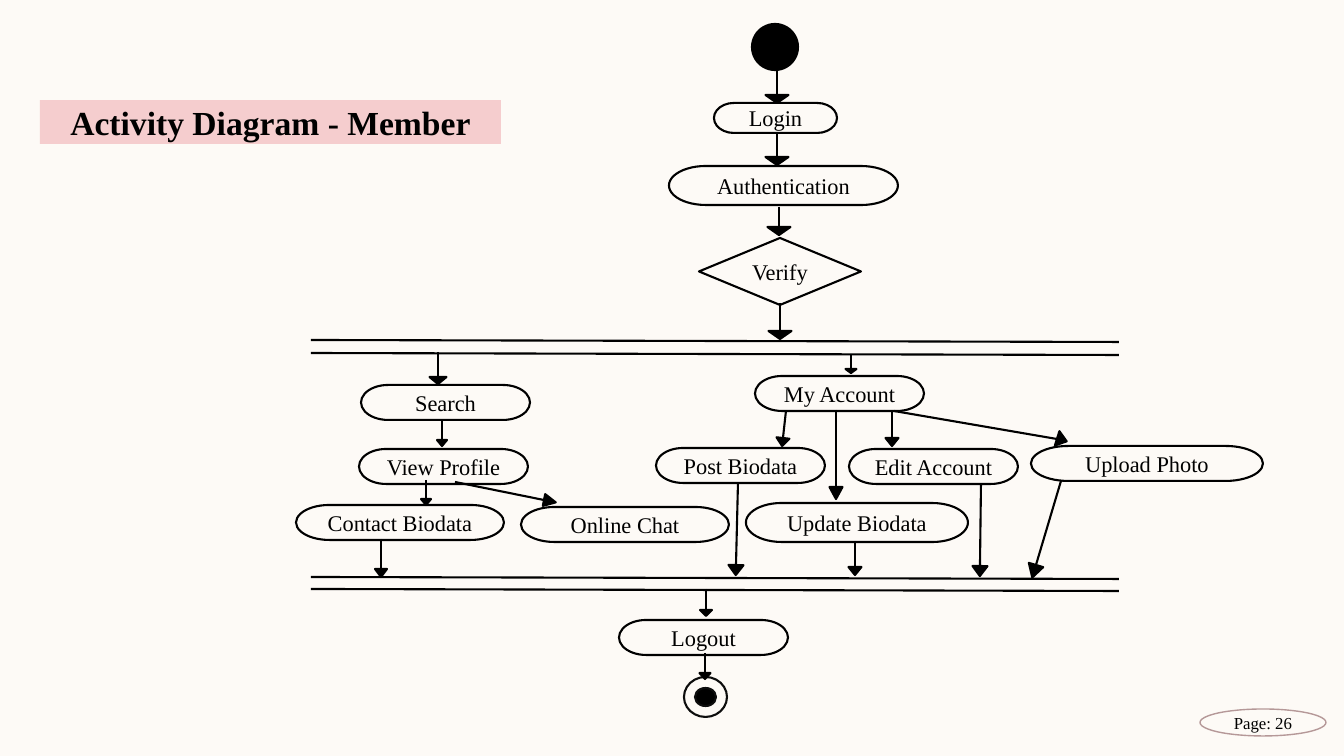
from math import atan2, cos, degrees, sin

from lxml.etree import SubElement
from pptx import Presentation
from pptx.dml.color import RGBColor
from pptx.enum.shapes import MSO_CONNECTOR, MSO_SHAPE
from pptx.enum.text import MSO_ANCHOR, PP_ALIGN
from pptx.oxml.ns import qn
from pptx.util import Emu, Pt

CREAM = RGBColor(0xFD, 0xFA, 0xF6)
BLACK = RGBColor(0x00, 0x00, 0x00)
INK = RGBColor(0x0D, 0x0D, 0x0D)
PINK = RGBColor(0xF5, 0xCD, 0xCE)
MAUVE = RGBColor(0xB5, 0x98, 0x98)
FONT = "Times New Roman"
EMU_PER_PX = 914400 / 100.8


def px(n):
    return Emu(round(n * EMU_PER_PX))


def write(sp, text, size=16, bold=False, color=BLACK):
    tf = sp.text_frame
    tf.word_wrap = True
    tf.vertical_anchor = MSO_ANCHOR.MIDDLE
    tf.margin_left = tf.margin_right = tf.margin_top = tf.margin_bottom = 0
    p = tf.paragraphs[0]
    p.alignment = PP_ALIGN.CENTER
    r = p.add_run()
    r.text = text
    r.font.name = FONT
    r.font.size = Pt(size)
    r.font.bold = bold
    r.font.color.rgb = color


class Diagram:
    """Draws on one slide with a shared line weight."""

    def __init__(self, slide, weight=1.5):
        self.slide = slide
        self.weight = weight

    def shape(self, kind, x, y, w, h, fill=None, line=BLACK, weight=None):
        sp = self.slide.shapes.add_shape(kind, px(x), px(y), px(w), px(h))
        sp.shadow.inherit = False
        if fill is None:
            sp.fill.background()
        else:
            sp.fill.solid()
            sp.fill.fore_color.rgb = fill
        if line is None:
            sp.line.fill.background()
        else:
            sp.line.color.rgb = line
            sp.line.width = Pt(weight or self.weight)
        return sp

    def node(self, text, x, y, w, h, kind=MSO_SHAPE.FLOWCHART_TERMINATOR):
        write(self.shape(kind, x, y, w, h), text)

    def line(self, x1, y1, x2, y2):
        c = self.slide.shapes.add_connector(
            MSO_CONNECTOR.STRAIGHT, px(x1), px(y1), px(x2), px(y2))
        c.line.color.rgb = BLACK
        c.line.width = Pt(self.weight)
        SubElement(c._element.spPr, qn("a:effectLst"))

    def arrow(self, x1, y1, x2, y2, w, h, turn=0):
        """Line plus a triangle w by h whose base sits on the line's end."""
        self.line(x1, y1, x2, y2)
        angle = atan2(y2 - y1, x2 - x1)
        cx, cy = x2 + cos(angle) * h / 2, y2 + sin(angle) * h / 2
        head = self.shape(MSO_SHAPE.FLOWCHART_EXTRACT,
                          cx - w / 2, cy - h / 2, w, h, fill=BLACK)
        head.rotation = round(degrees(angle) + 90 + turn, 1)


ACTIVITIES = [
    ("Login", 714, 103, 123, 30),
    ("Authentication", 669, 166, 229, 39),
    ("Search", 361, 385, 169, 35),
    ("View Profile", 359, 449, 169, 35),
    ("Contact Biodata", 296, 505, 208, 35),
    ("Online Chat", 521, 507, 208, 35),
    ("My Account", 755, 376, 169, 35),
    ("Post Biodata", 656, 448, 169, 35),
    ("Update Biodata", 746, 503, 222, 39),
    ("Edit Account", 849, 449, 169, 35),
    ("Upload Photo", 1031, 446, 232, 35),
    ("Logout", 619, 620, 169, 35),
]

# Line start, line end, head width and height
ARROWS = [
    # Sign-in
    (777, 67, 777, 95, 23, 8),
    (777, 132, 777, 157, 23, 8),
    (779, 207, 779, 227, 23, 8),
    (780, 303, 780, 331, 23, 8),
    # Search branch
    (438, 352, 438, 377, 17, 7),
    (442, 421, 442, 440, 10, 6),
    (426, 480, 426, 499, 10, 6),
    (455, 482, 544, 500, 12, 12),
    (381, 539, 381, 569, 12, 8),
    # Account branch
    (851, 355, 851, 369, 11, 4),
    (786, 411, 783, 438, 13, 8),
    (836, 410, 836, 487, 13, 12),
    (892, 412, 892, 438, 13, 8),
    (894, 411, 1057, 439, 15, 10, 8),
    (738, 483, 736, 565, 15, 10),
    (855, 541, 855, 567, 13, 8),
    (981, 485, 980, 566, 15, 10),
    (1061, 481, 1036, 565, 15, 13),
    # Sign-out
    (706, 589, 706, 610, 12, 6),
    (705, 653, 705, 673, 11, 6),
]


def main():
    prs = Presentation()
    prs.slide_width, prs.slide_height = px(1344), px(756)
    s = prs.slides.add_slide(prs.slide_layouts[6])
    s.background.fill.solid()
    s.background.fill.fore_color.rgb = CREAM
    d = Diagram(s)

    # Fork and join bars
    for y, drop in ((340, 2), (353, 2), (577, 2), (589, 2)):
        d.line(311, y, 1119, y + drop)

    # Activities and decision
    for activity in ACTIVITIES:
        d.node(*activity)
    d.node("Verify", 699, 238, 162, 67, MSO_SHAPE.FLOWCHART_DECISION)

    # Start and end points
    d.shape(MSO_SHAPE.OVAL, 752, 24, 46, 46, fill=BLACK)
    d.shape(MSO_SHAPE.OVAL, 684, 677, 43, 40, line=INK)
    d.shape(MSO_SHAPE.OVAL, 695, 688, 21, 18, fill=BLACK, line=INK)

    # Flow
    for arrow in ARROWS:
        d.arrow(*arrow)

    # Page number and title
    page = d.shape(MSO_SHAPE.OVAL, 1200, 709, 126, 27, line=MAUVE, weight=1)
    write(page, "Page: 26", size=12)
    title = d.shape(MSO_SHAPE.RECTANGLE, 40, 100, 461, 44, fill=PINK, line=None)
    write(title, "Activity Diagram - Member", size=24, bold=True)

    prs.save("out.pptx")


if __name__ == "__main__":
    main()
